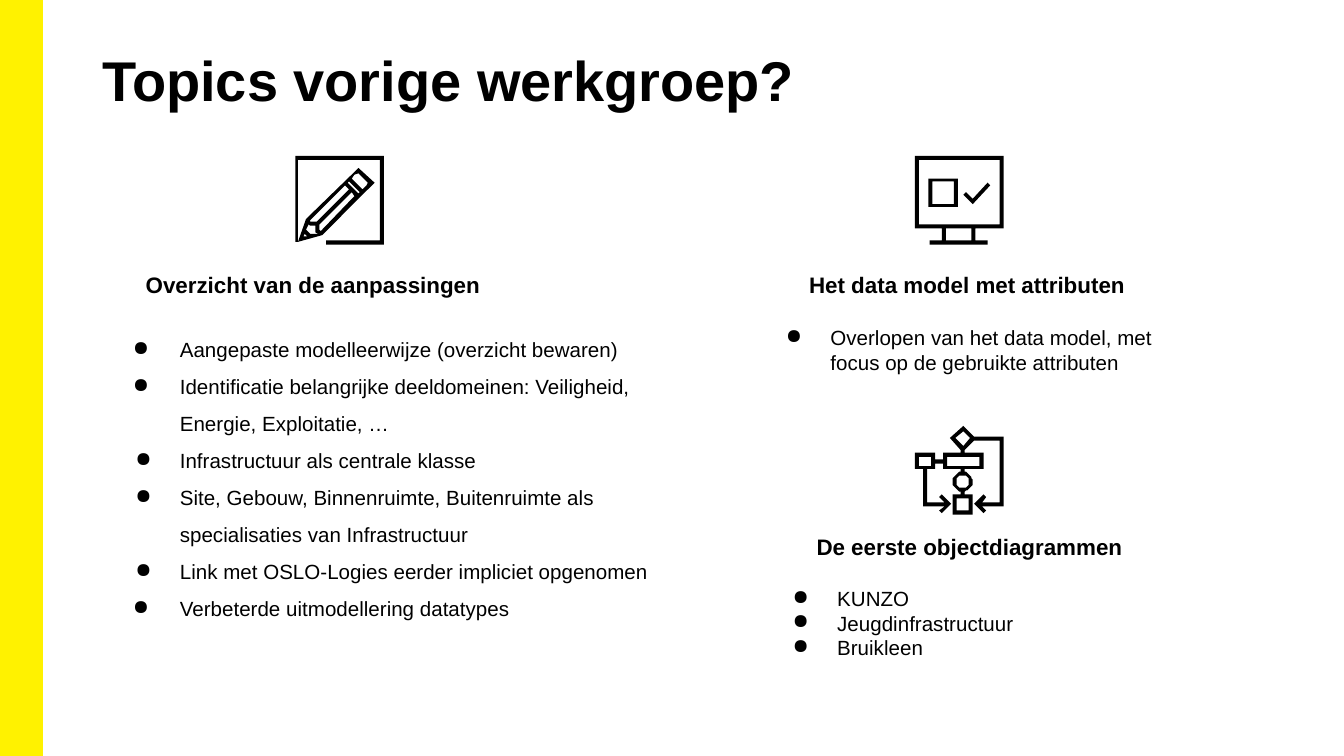
from dataclasses import dataclass
from math import cos, radians, sin

from lxml.etree import SubElement
from pptx import Presentation
from pptx.dml.color import RGBColor
from pptx.enum.shapes import MSO_SHAPE
from pptx.enum.text import MSO_AUTO_SIZE, PP_ALIGN
from pptx.oxml.ns import qn
from pptx.util import Pt


@dataclass(frozen=True)
class Theme:
    font: str = "Arial"
    ink: RGBColor = RGBColor(0x00, 0x00, 0x00)
    accent: RGBColor = RGBColor(0xFF, 0xF2, 0x00)
    title: float = 30
    heading: float = 12
    body: float = 11


theme = Theme()
presentation = Presentation()
presentation.slide_width = Pt(720)
presentation.slide_height = Pt(405)
slide = presentation.slides.add_slide(presentation.slide_layouts[6])


def add_text(box, lines, size, bold=False, align=None, insets=(0, 0), spacing=None, hangs=()):
    """Add a text box; hangs gives one bullet hang per line."""
    shape = slide.shapes.add_textbox(*map(Pt, box))
    frame = shape.text_frame
    frame.word_wrap = True
    frame.margin_left = frame.margin_right = Pt(insets[0])
    frame.margin_top = frame.margin_bottom = Pt(insets[1])
    if hangs:
        frame.auto_size = MSO_AUTO_SIZE.SHAPE_TO_FIT_TEXT
    frame.text = "\n".join(lines)
    for paragraph in frame.paragraphs:
        paragraph.alignment = align
        paragraph.line_spacing = spacing
    for paragraph, hang in zip(frame.paragraphs, hangs):
        properties = paragraph._p.get_or_add_pPr()
        properties.set("marL", str(Pt(36)))
        properties.set("indent", str(-Pt(hang)))
        bullet_color = SubElement(properties, qn("a:buClr"))
        SubElement(bullet_color, qn("a:srgbClr")).set("val", str(theme.ink))
        SubElement(properties, qn("a:buChar")).set("char", "●")
    for paragraph in frame.paragraphs:
        paragraph.font.name = theme.font
        paragraph.font.size = Pt(size)
        paragraph.font.bold = bold
        paragraph.font.color.rgb = theme.ink


def add_icon(left, top, parts):
    """Draw a group of filled parts, each a list of contours on a 66-unit grid."""
    group = slide.shapes.add_group_shape()
    for contours in parts:
        builder = group.shapes.build_freeform(*contours[0][0], scale=Pt(0.72))
        for number, contour in enumerate(contours):
            if number:
                builder.move_to(*contour[0])
            builder.add_line_segments(contour[1:], close=True)
        shape = builder.convert_to_shape(Pt(left), Pt(top))
        shape.shadow.inherit = False
        shape.fill.solid()
        shape.fill.fore_color.rgb = theme.ink
        shape.line.fill.background()


# Yellow side band
band = slide.shapes.add_shape(MSO_SHAPE.RECTANGLE, 0, 0, Pt(22.5), Pt(405))
band.shadow.inherit = False
band.fill.solid()
band.fill.fore_color.rgb = theme.accent
band.line.color.rgb = theme.accent
band.line.width = Pt(1)

# Title and headings
add_text((49.6, 21.6, 625.7, 58.3), ["Topics vorige werkgroep?"], theme.title,
         bold=True, insets=(5.1, 2.9))
for left, top, width, heading in (
    (49.6, 145.4, 236.2, "Overzicht van de aanpassingen"),
    (401.8, 145.4, 232.6, "Het data model met attributen"),
    (404.6, 285.8, 229.7, "De eerste objectdiagrammen"),
):
    add_text((left, top, width, 18.7), [heading], theme.heading,
             bold=True, align=PP_ALIGN.CENTER)

# Bullet lists
wide, narrow = 25.2, 23.8
for box, spacing, items in (
    ((53.3, 167, 302.4, 182.2), 1.5, (
        ("Aangepaste modelleerwijze (overzicht bewaren)", wide),
        ("Identificatie belangrijke deeldomeinen: Veiligheid, Energie, Exploitatie, …", wide),
        ("Infrastructuur als centrale klasse", narrow),
        ("Site, Gebouw, Binnenruimte, Buitenruimte als specialisaties van Infrastructuur", narrow),
        ("Link met OSLO-Logies eerder impliciet opgenomen", narrow),
        ("Verbeterde uitmodellering datatypes", wide),
    )),
    ((401.8, 167, 232.6, 41), None, (
        ("Overlopen van het data model, met focus op de gebruikte attributen", narrow),
    )),
    ((405.4, 306.7, 226.8, 81.4), None, (
        ("KUNZO", narrow),
        ("Jeugdinfrastructuur", narrow),
        ("Bruikleen", narrow),
    )),
):
    lines, hangs = zip(*items)
    add_text(box, lines, theme.body, insets=(7.2, 7.2), spacing=spacing, hangs=hangs)

# Pencil icon
pencil = [
    [(49, 30), (59, 20), (47, 9), (43, 13), (8, 47), (2, 64), (20, 59)],
    [(44, 14), (47, 13), (54, 20), (53, 22), (50, 25), (42, 17)],
    [(37, 22), (40, 25), (16, 49), (11, 49), (11, 48)],
    [(6, 60), (7, 58), (9, 60)],
    [(11, 58), (8, 55), (10, 51), (11, 52), (15, 52), (15, 57), (17, 58)],
    [(19, 56), (18, 55), (18, 51), (42, 27), (44, 30)],
    [(47, 28), (39, 20), (40, 19), (48, 27)],
]
paper = [[(66, 0), (0, 0), (0, 64), (2, 64), (2, 3), (63, 3), (63, 63),
          (23, 63), (23, 66), (66, 66)]]
add_icon(158.2, 83.5, [pencil, paper])

# Monitor icon
monitor = [
    [(66, 54), (66, 0), (0, 0), (0, 54), (20, 54), (20, 63), (11, 63), (11, 66),
     (54, 66), (54, 63), (45, 63), (45, 54)],
    [(3, 3), (63, 3), (63, 51), (3, 51)],
    [(42, 63), (23, 63), (23, 54), (42, 54)],
]
checklist = [
    [(10, 17), (32, 17), (32, 38), (10, 38)],
    [(13, 19), (29, 19), (29, 36), (13, 36)],
    [(43, 36), (36, 29), (38, 27), (43, 32), (54, 20), (56, 22)],
]
add_icon(490.2, 83.5, [monitor, checklist])

# Flow diagram icon: two outer arcs and the hole of its circle
left_arc, right_arc, circle_hole = [
    [(round(35.5 + radius * cos(radians(angle)), 2),
      round(41.5 + radius * sin(radians(angle)), 2))
     for angle in range(start, end, -10)]
    for radius, start, end in ((7.5, 259, 98), (7.5, 79, -82), (4.7, 360, 0))
]
flow = [
    [(66, 8), (44, 8), (36, 0), (26, 9), (34, 18), (34, 20), (21, 20), (21, 25),
     (15, 25), (15, 20), (0, 20), (0, 32), (6, 32), (6, 60), (22, 60), (18, 63),
     (20, 65), (27, 58), (20, 51), (18, 53), (22, 57), (9, 57), (9, 32), (15, 32),
     (15, 28), (21, 28), (21, 32), (34, 32), *left_arc,
     (34, 51), (28, 51), (28, 66), (43, 66), (43, 51), (37, 51), *right_arc,
     (37, 32), (51, 32), (51, 20), (37, 20), (37, 18), (44, 11), (63, 11), (63, 57),
     (50, 57), (53, 53), (51, 51), (44, 58), (51, 65), (53, 63), (50, 60), (66, 60)],
    [(36, 15), (30, 9), (36, 4), (41, 9)],
    [(24, 23), (48, 23), (48, 30), (24, 30)],
    [(3, 23), (12, 23), (12, 30), (3, 30)],
    [(31, 54), (40, 54), (40, 63), (31, 63)],
    circle_hole,
]
add_icon(490.2, 228.2, [flow])

presentation.save("out.pptx")
